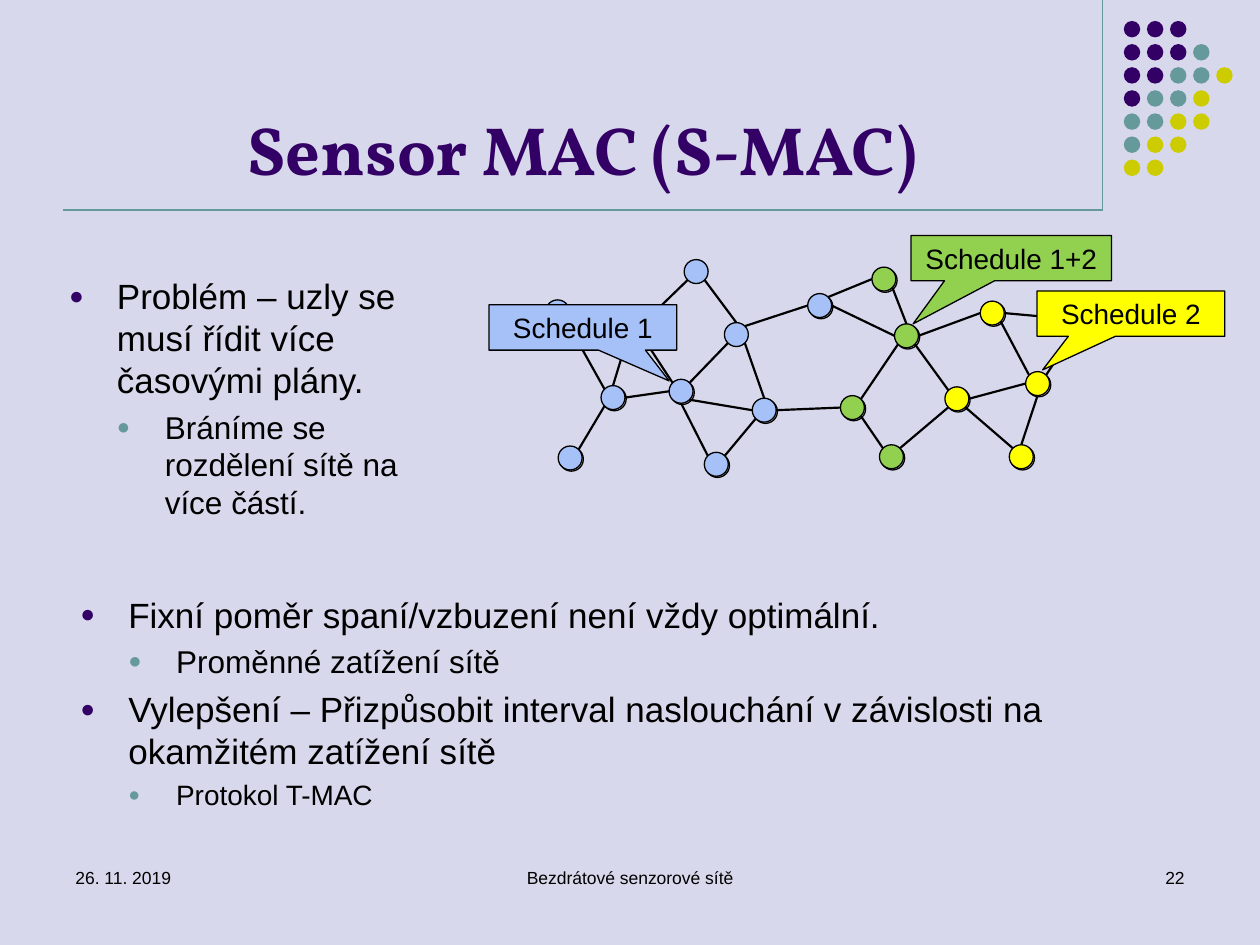
from math import sqrt

from lxml import etree
from pptx import Presentation
from pptx.dml.color import RGBColor
from pptx.enum.shapes import MSO_CONNECTOR, MSO_SHAPE
from pptx.enum.text import MSO_ANCHOR, PP_ALIGN
from pptx.oxml.ns import qn
from pptx.util import Pt

BACKGROUND = RGBColor(0xD8, 0xD8, 0xEC)
PURPLE = RGBColor(0x33, 0x00, 0x66)
TEAL = RGBColor(0x66, 0x99, 0x99)
OLIVE = RGBColor(0xCC, 0xCC, 0x00)
BLACK = RGBColor(0x00, 0x00, 0x00)
GRAY = RGBColor(0xD9, 0xD9, 0xD9)
BLUE = RGBColor(0xA6, 0xC1, 0xF8)
YELLOW = RGBColor(0xFF, 0xFF, 0x00)
GREEN = RGBColor(0x92, 0xD0, 0x50)

DOT_ROWS = ["PPP", "PPPT", "PPTTO", "PTTO", "TTOO", "TOO", "OO"]
DOT_COLORS = {"P": PURPLE, "T": TEAL, "O": OLIVE}

NODE_RADIUS = 6.85
# Node centres relative to the network box
NODES = {
    BLUE: {
        "A": (97.3, 117.3), "B": (38.3, 79.2), "C": (77.2, 75.6),
        "D": (51.2, 41), "E": (124.7, 86.4), "F": (108.8, 43.2),
        "J": (156.4, 26.6), "P": (6.6, 30.2), "R": (13.8, 113.7),
        "S": (85.8, 7.2),
    },
    YELLOW: {
        "L": (234.8, 79.9), "M": (255, 30.9), "N": (271.6, 113),
        "O": (280.9, 71.2), "Q": (308.3, 34.5),
    },
    GREEN: {
        "G": (197.4, 113), "H": (193.1, 11.5), "I": (206, 43.9),
        "K": (175.1, 84.9),
    },
}
CENTERS = {name: c for group in NODES.values() for name, c in group.items()}
UNSHADED = "FPS"

# Each end is a node and the compass side where the link touches it
LINKS = """
C.NW-D.SE E.W-C.SE C.W-B.E D.SW-B.N O.S-N.N Q.SW-O.NE F.SW-C.NE J.W-F.NE
O.W-L.E N.NW-L.SE L.SW-G.NE D.W-P.E B.SW-R.NE B.NW-P.SE I.SE-L.NW H.SE-I.N
C.S-A.NW A.NE-E.SW E.E-K.W M.SE-O.NW M.E-Q.W I.E-M.W D.NE-S.SW F.N-S.SE
E.N-F.SE G.NW-K.SE I.SW-K.NE I.W-J.E H.W-J.NE
""".split()

CALLOUTS = [
    ("Schedule 1", BLUE, (279.4, 174.2, 107.3, 25.9), (0.46, 1.18)),
    ("Schedule 2", YELLOW, (592.6, 166.3, 107.3, 25.9), (-0.47, 1.24)),
    ("Schedule 1+2", GREEN, (520.6, 134.6, 114.5, 25.9), (-0.49, 1.45)),
]

PROBLEM = [
    (0, 20, "Problém – uzly se musí řídit více časovými plány."),
    (1, 18, "Bráníme se rozdělení sítě na více částí."),
]
IMPROVEMENT = [
    (0, 20, "Fixní poměr spaní/vzbuzení není vždy optimální."),
    (1, 18, "Proměnné zatížení sítě"),
    (0, 20, "Vylepšení – Přizpůsobit interval naslouchání v závislosti na "
            "okamžitém zatížení sítě"),
    (1, 16, "Protokol T-MAC"),
]


def write(p, text, size=10, font="Arial", color=BLACK, bold=False,
          align=PP_ALIGN.LEFT):
    p.alignment = align
    r = p.add_run()
    r.text = text
    r.font.size = Pt(size)
    r.font.name = font
    r.font.bold = bold
    r.font.color.rgb = color


def add_frame(s, box, anchor=MSO_ANCHOR.TOP):
    tf = s.shapes.add_textbox(*map(Pt, box)).text_frame
    tf.word_wrap = True
    tf.vertical_anchor = anchor
    return tf


def add_filled(s, kind, box, fill, outlined=True):
    sp = s.shapes.add_shape(kind, *map(Pt, box))
    sp.shadow.inherit = False
    sp.fill.solid()
    sp.fill.fore_color.rgb = fill
    if outlined:
        sp.line.color.rgb = BLACK
        sp.line.width = Pt(0.75)
    else:
        sp.line.fill.background()
    return sp


def add_line(s, start, end, color, width):
    line = s.shapes.add_connector(MSO_CONNECTOR.STRAIGHT,
                                  *map(Pt, (*start, *end)))
    line.line.color.rgb = color
    line.line.width = Pt(width)
    etree.SubElement(line._element.spPr, qn("a:effectLst"))


def add_bullet(p, level):
    pPr = p._p.get_or_add_pPr()
    pPr.set("marL", str(Pt(27.36 * (level + 1))))
    pPr.set("indent", str(-Pt(27.36)))
    color = etree.SubElement(pPr, qn("a:buClr"))
    etree.SubElement(color, qn("a:srgbClr"), val=str((PURPLE, TEAL)[level]))
    etree.SubElement(pPr, qn("a:buSzPct"), val="70000")
    etree.SubElement(pPr, qn("a:buFont"), typeface="Arial")
    etree.SubElement(pPr, qn("a:buChar"), char="●")


def add_bullets(s, box, items):
    tf = add_frame(s, box)
    for i, (level, size, text) in enumerate(items):
        p = tf.add_paragraph() if i else tf.paragraphs[0]
        p.level = level
        p.space_before = Pt(0.22 * size)
        add_bullet(p, level)
        write(p, text, size=size)


def add_dots(s, left, top, pitch=13.2, size=9.4):
    for row, codes in enumerate(DOT_ROWS):
        for col, code in enumerate(codes):
            box = (left + col * pitch, top + row * pitch, size, size)
            add_filled(s, MSO_SHAPE.OVAL, box, DOT_COLORS[code], outlined=False)


def add_header(s, left, right, bottom):
    add_line(s, (right, 0), (right, bottom), TEAL, 0.75)
    add_line(s, (left, bottom), (right, bottom), TEAL, 0.75)
    add_dots(s, right + 12.2, 12)
    tf = add_frame(s, (left, 9.4, right - left, 102.2), MSO_ANCHOR.BOTTOM)
    write(tf.paragraphs[0], "Sensor MAC (S-MAC)", size=39, font="Vollkorn",
          color=PURPLE, bold=True, align=PP_ALIGN.CENTER)


def add_network(s, left, top):
    def add_node(name, fill, shift=0):
        x, y = CENTERS[name]
        box = (left + x - NODE_RADIUS + shift, top + y - NODE_RADIUS + shift,
               2 * NODE_RADIUS, 2 * NODE_RADIUS)
        add_filled(s, MSO_SHAPE.OVAL, box, fill)

    def link_end(end):
        name, side = end.split(".")
        x, y = CENTERS[name]
        reach = NODE_RADIUS / sqrt(len(side))
        return (left + x + reach * (("E" in side) - ("W" in side)),
                top + y + reach * (("S" in side) - ("N" in side)))

    for name in CENTERS:
        if name not in UNSHADED:
            add_node(name, GRAY, shift=0.7)
    for fill in (BLUE, YELLOW):
        for name in NODES[fill]:
            add_node(name, fill)
    for link in LINKS:
        start, end = map(link_end, link.split("-"))
        add_line(s, start, end, BLACK, 1.25)
    for callout in CALLOUTS:
        add_callout(s, *callout)
    for name in NODES[GREEN]:
        add_node(name, GREEN)


def add_callout(s, text, fill, box, tip):
    sp = add_filled(s, MSO_SHAPE.RECTANGULAR_CALLOUT, box, fill)
    sp.adjustments[0], sp.adjustments[1] = tip
    tf = sp.text_frame
    tf.vertical_anchor = MSO_ANCHOR.MIDDLE
    write(tf.paragraphs[0], text, size=16, align=PP_ALIGN.CENTER)


def add_footer(s, top, height):
    for left, width, text, align in (
        (36, 168, "26. 11. 2019", PP_ALIGN.LEFT),
        (246, 228, "Bezdrátové senzorové sítě", PP_ALIGN.CENTER),
        (516, 168, "22", PP_ALIGN.RIGHT),
    ):
        tf = add_frame(s, (left, top, width, height))
        write(tf.paragraphs[0], text, align=align)


def main():
    prs = Presentation()
    prs.slide_width, prs.slide_height = Pt(720), Pt(540)
    s = prs.slides.add_slide(prs.slide_layouts[6])
    s.background.fill.solid()
    s.background.fill.fore_color.rgb = BACKGROUND
    add_header(s, 36, 630, 120)
    add_bullets(s, (32.4, 153.4, 220.3, 152), PROBLEM)
    add_network(s, 312, 148)
    add_footer(s, 492, 36)
    add_bullets(s, (38.9, 335.5, 635.8, 139), IMPROVEMENT)
    prs.save("out.pptx")


if __name__ == "__main__":
    main()
